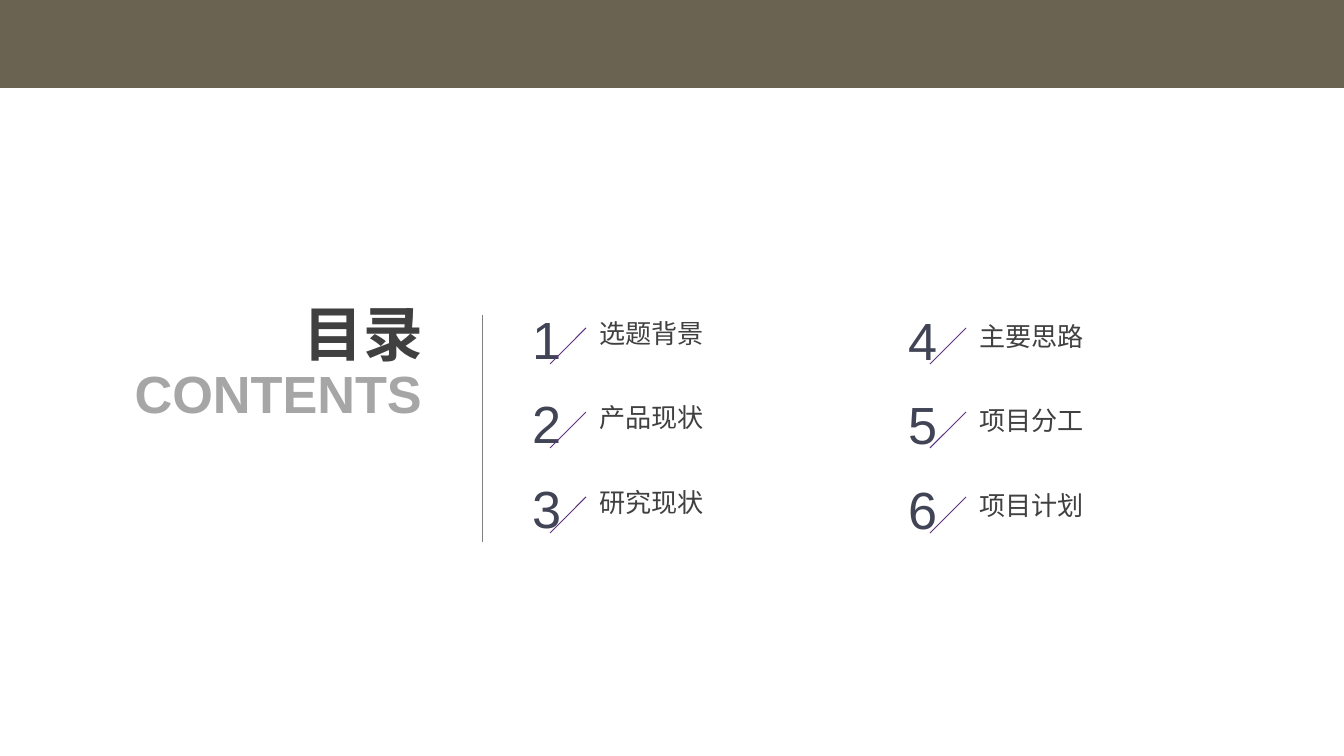
from dataclasses import dataclass

from lxml.etree import SubElement
from pptx import Presentation
from pptx.dml.color import RGBColor as Color
from pptx.enum.shapes import MSO_CONNECTOR as Connector, MSO_SHAPE as Shape
from pptx.enum.text import MSO_ANCHOR as Anchor, MSO_AUTO_SIZE as AutoSize, PP_ALIGN as Align
from pptx.oxml.ns import qn
from pptx.util import Emu, Pt


@dataclass(frozen=True)
class Theme:
    band: str = "6B6351"
    dark: str = "404040"
    pale: str = "A6A6A6"
    number: str = "414455"
    slash: str = "5C307D"
    divider: str = "808080"
    title_size: int = 32
    large_size: int = 28
    label_size: int = 14
    line_width: float = 0.5
    latin: str = "Arial"
    chinese: str = "Noto Sans CJK SC"


theme = Theme()
SCALE = 914400 / 134.4


def px(*lengths):
    return [Emu(round(length * SCALE)) for length in lengths]


def write(text, *, at, size, color, font, box=None, bold=False, align=Align.LEFT, wrap=False):
    if box is None:
        box = page.shapes.add_textbox(*px(*at))
    else:
        box.left, box.top, box.width, box.height = px(*at)
    frame = box.text_frame
    frame.word_wrap = wrap
    frame.auto_size = AutoSize.SHAPE_TO_FIT_TEXT
    frame.vertical_anchor = Anchor.TOP
    para = frame.paragraphs[0]
    para.alignment = align
    span = para.add_run()
    span.text = text
    span.font.size = Pt(size)
    span.font.bold = bold
    span.font.color.rgb = Color.from_string(color)
    span.font.name = font
    SubElement(span.font._element, qn("a:ea")).set("typeface", font)


deck = Presentation()
deck.slide_width, deck.slide_height = px(1344, 756)
page = deck.slides.add_slide(deck.slide_layouts[5])

band = page.shapes.add_shape(Shape.RECTANGLE, *px(0, 0, 1344, 88))
band.shadow.inherit = False
band.fill.solid()
band.fill.fore_color.rgb = Color.from_string(theme.band)
band.line.fill.background()

write("CONTENTS", at=(32, 355, 403, 77), size=theme.large_size, color=theme.pale,
      font=theme.latin, bold=True, align=Align.RIGHT, wrap=True)
write("目录", box=page.shapes.title, at=(290, 290, 148, 86), size=theme.title_size,
      color=theme.dark, font=theme.chinese, bold=True)

columns = [
    (586, 519, 311, 301, ["选题背景", "产品现状", "研究现状"]),
    (966, 895, 314, 302, ["主要思路", "项目分工", "项目计划"]),
]
lines = [((482, 315), (482, 542), theme.divider)]
for column, (label_left, number_left, label_top, number_top, labels) in enumerate(columns):
    for row, label in enumerate(labels):
        drop = row * 169 // 2
        number = column * len(labels) + row + 1
        write(label, at=(label_left, label_top + drop, 133, 46), size=theme.label_size,
              color=theme.dark, font=theme.chinese)
        write(str(number), at=(number_left, number_top + drop, 54, 77), size=theme.large_size,
              color=theme.number, font=theme.latin, align=Align.CENTER)
        lines.append(((label_left, 328 + drop), (label_left - 36, 364 + drop), theme.slash))

for start, end, color in lines:
    line = page.shapes.add_connector(Connector.STRAIGHT, *px(*start, *end))
    line.line.width = Pt(theme.line_width)
    line.line.color.rgb = Color.from_string(color)
    SubElement(line._element.spPr, qn("a:effectLst"))

deck.save("out.pptx")
